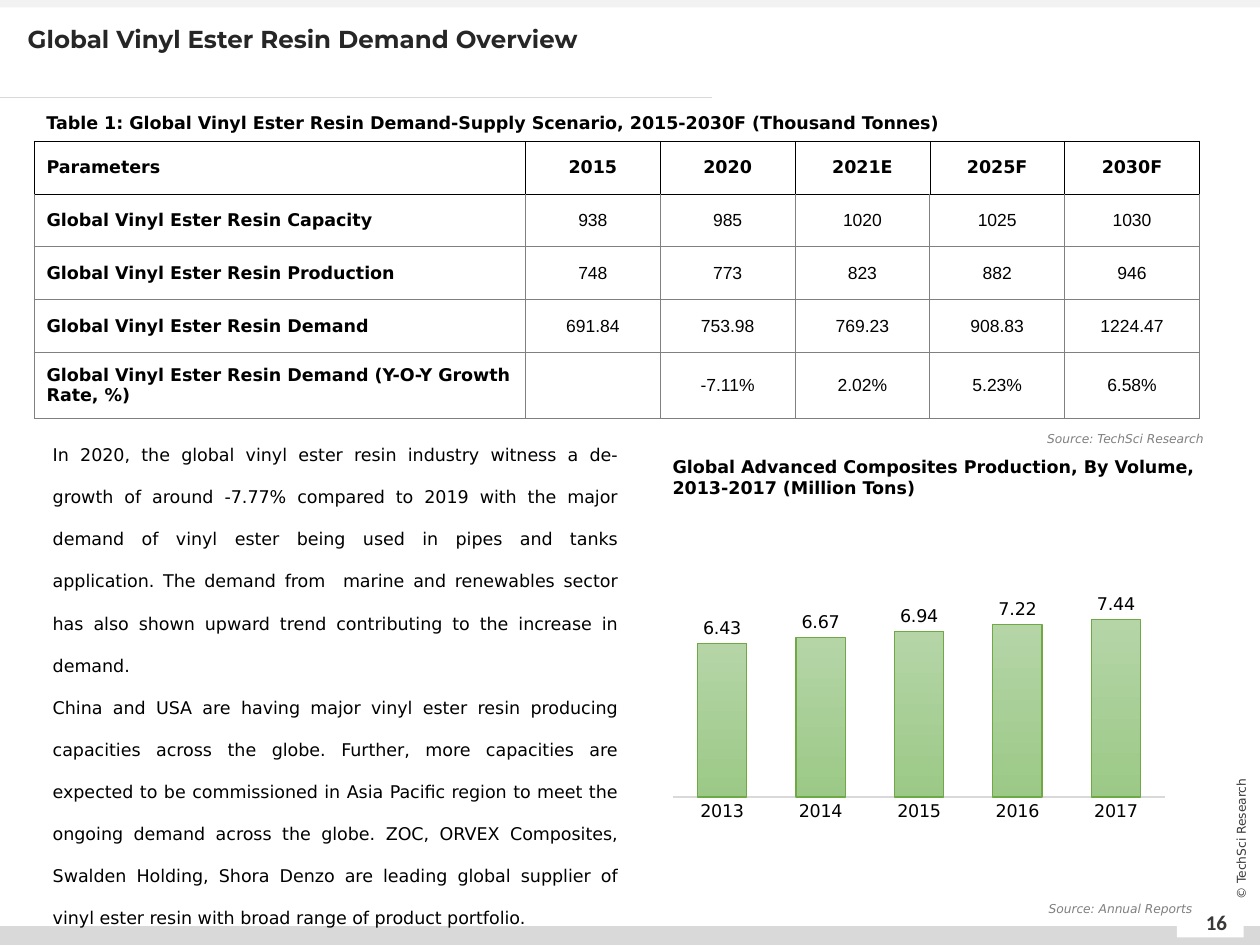
from lxml import etree
from pptx import Presentation
from pptx.chart.data import CategoryChartData
from pptx.dml.color import RGBColor
from pptx.enum.chart import XL_CHART_TYPE as ChartType, XL_LABEL_POSITION as LabelPos, XL_TICK_MARK as Tick
from pptx.enum.shapes import MSO_CONNECTOR as Connector, MSO_SHAPE as Shape
from pptx.enum.text import MSO_ANCHOR as Anchor, MSO_AUTO_SIZE as AutoSize, PP_ALIGN as Align
from pptx.oxml import parse_xml
from pptx.oxml.ns import nsdecls, qn
from pptx.util import Inches, Pt

COLORS = {
    "white": "FFFFFF", "black": "000000", "band": "F2F2F2", "rule": "D9D9D9",
    "title": "262626", "footer": "3B3838", "source": "808080", "grid": "808080",
    "bar_top": "B5D5A7", "bar_bottom": "9CC987", "bar_line": "6EA945",
}
FONT = "DejaVu Sans"

TITLE = "Global Vinyl Ester Resin Demand Overview"
TABLE_TITLE = "Table 1: Global Vinyl Ester Resin Demand-Supply Scenario, 2015-2030F (Thousand Tonnes)"
DEMAND_TABLE = [
    ("Parameters", "2015", "2020", "2021E", "2025F", "2030F"),
    ("Global Vinyl Ester Resin Capacity", "938", "985", "1020", "1025", "1030"),
    ("Global Vinyl Ester Resin Production", "748", "773", "823", "882", "946"),
    ("Global Vinyl Ester Resin Demand", "691.84", "753.98", "769.23", "908.83", "1224.47"),
    ("Global Vinyl Ester Resin Demand (Y-O-Y Growth Rate, %)", "", "-7.11%", "2.02%", "5.23%", "6.58%"),
]
COLUMN_WIDTHS = [3.9] + [1.07] * 5
ROW_HEIGHTS = [0.42] * 4 + [0.52]
COMMENTARY = [
    "In 2020, the global vinyl ester resin industry witness a de-growth of around -7.77% compared to 2019 "
    "with the major demand of vinyl ester being used in pipes and tanks application. The demand from  marine "
    "and renewables sector has also shown upward trend contributing to the increase in demand.",
    "China and USA are having major vinyl ester resin producing capacities across the globe. Further, more "
    "capacities are expected to be commissioned in Asia Pacific region to meet the ongoing demand across the "
    "globe. ZOC, ORVEX Composites, Swalden Holding, Shora Denzo are leading global supplier of vinyl ester "
    "resin with broad range of product portfolio.",
]
CHART_TITLE = "Global Advanced Composites Production, By Volume, 2013-2017 (Million Tons)"
PRODUCTION = {"2013": 6.43, "2014": 6.67, "2015": 6.94, "2016": 7.22, "2017": 7.44}
PLOT_AREA = {"x": 0.01, "y": 0.07, "w": 0.96, "h": 0.63}
BANDS = [
    ((0, 7.35, 10, 0.15), "rule"),
    ((0, 0, 10, 0.06), "band"),
    ((9.34, 7.22, 0.53, 0.22), "white"),
]


def rgb(color):
    return RGBColor.from_string(COLORS[color])


def style(font, size, color="black", name=FONT, bold=False, italic=False):
    font.size, font.name, font.bold, font.italic = Pt(size), name, bold, italic
    font.color.rgb = rgb(color)


def write(frame, paragraphs, size, align=Align.LEFT, spacing=1.0, **look):
    for index, text in enumerate(paragraphs):
        paragraph = frame.add_paragraph() if index else frame.paragraphs[0]
        paragraph.alignment, paragraph.line_spacing = align, spacing
        run = paragraph.add_run()
        run.text = text
        style(run.font, size, **look)


def add_text(slide, place, paragraphs, size, anchor=Anchor.TOP, fit=AutoSize.SHAPE_TO_FIT_TEXT, **look):
    box = slide.shapes.add_textbox(*map(Inches, place))
    frame = box.text_frame
    frame.word_wrap, frame.auto_size, frame.vertical_anchor = True, fit, anchor
    write(frame, paragraphs, size, **look)
    return box


def add_frame(slide):
    for place, color in BANDS:
        band = slide.shapes.add_shape(Shape.RECTANGLE, *map(Inches, place))
        band.shadow.inherit = False
        band.fill.solid()
        band.fill.fore_color.rgb = rgb(color)
        band.line.fill.background()
    rule = slide.shapes.add_connector(Connector.STRAIGHT, 0, Inches(0.77), Inches(5.65), Inches(0.77))
    rule.line.color.rgb, rule.line.width = rgb("rule"), Pt(0.5)
    etree.SubElement(rule._element.spPr, qn("a:effectLst"))
    footer = dict(anchor=Anchor.MIDDLE, fit=AutoSize.NONE, align=Align.CENTER, color="footer")
    add_text(slide, (9.41, 7.12, 0.49, 0.4), ["16"], 12, name="Calibri", bold=True, **footer)
    owner = add_text(slide, (9.25, 6.58, 1.2, 0.16), ["© TechSci Research"], 7, **footer)
    owner.text_frame.word_wrap = False
    owner.rotation = 270


def add_title(slide):
    title = slide.shapes.title
    title.left, title.top, title.width, title.height = map(Inches, (0.12, 0.17, 6.68, 0.5))
    frame = title.text_frame
    frame.auto_size, frame.vertical_anchor = AutoSize.NONE, Anchor.TOP
    write(frame, [TITLE], 14, spacing=0.9, color="title", name="Montserrat", bold=True)


def set_borders(cell, edges):
    for side, (color, width) in edges.items():
        cell._tc.get_or_add_tcPr().append(parse_xml(
            f'<a:ln{side} {nsdecls("a")} w="{Pt(width)}"><a:solidFill>'
            f'<a:srgbClr val="{COLORS[color]}"/></a:solidFill></a:ln{side}>'))


def add_demand_table(slide):
    place = (0.27, 1.12, sum(COLUMN_WIDTHS), sum(ROW_HEIGHTS))
    table = slide.shapes.add_table(
        len(ROW_HEIGHTS), len(COLUMN_WIDTHS), *map(Inches, place)).table
    table.first_row = table.horz_banding = False
    for column, width in zip(table.columns, COLUMN_WIDTHS):
        column.width = Inches(width)
    header_edge, body_edge = ("black", 0.25), ("grid", 0.5)
    for r, values in enumerate(DEMAND_TABLE):
        table.rows[r].height = Inches(ROW_HEIGHTS[r])
        edge = body_edge if r else header_edge
        edges = {"L": edge, "R": edge, "T": header_edge if r < 2 else body_edge, "B": edge}
        for c, value in enumerate(values):
            cell = table.cell(r, c)
            heading = r == 0 or c == 0
            cell.vertical_anchor = Anchor.MIDDLE
            cell.margin_top = cell.margin_right = cell.margin_bottom = 0
            cell.margin_left = 0 if c else Inches(0.1)
            set_borders(cell, edges)
            cell.fill.solid()
            cell.fill.fore_color.rgb = rgb("white")
            if value:
                write(cell.text_frame, [value], 10, align=Align.CENTER if c else Align.LEFT,
                      name=FONT if heading else "Arial", bold=heading)


def add_production_chart(slide):
    data = CategoryChartData(number_format="0.00")
    data.categories = list(PRODUCTION)
    data.add_series("Series 1", list(PRODUCTION.values()))
    chart = slide.shapes.add_chart(
        ChartType.COLUMN_CLUSTERED, *map(Inches, (5.3, 4.01, 4.07, 3.31)), data).chart
    chart.has_legend = chart.has_title = False
    style(chart.font, 10)

    years, volume = chart.category_axis, chart.value_axis
    years.major_tick_mark = years.minor_tick_mark = Tick.NONE
    years.format.line.color.rgb, years.format.line.width = rgb("rule"), Pt(0.75)
    style(years.tick_labels.font, 10)
    volume.minimum_scale, volume.maximum_scale = 0, 11
    volume.has_major_gridlines = volume.visible = False

    plot = chart.plots[0]
    plot.gap_width, plot.overlap, plot.vary_by_categories = 100, -24, False
    bars = plot.series[0]
    fill = bars.format.fill
    fill.gradient()
    fill.gradient_angle = 270
    for stop, position, color in zip(fill.gradient_stops, (0, 1), ("bar_top", "bar_bottom")):
        stop.position, stop.color.rgb = position, rgb(color)
    bars.format.line.color.rgb, bars.format.line.width = rgb("bar_line"), Pt(0.75)

    labels = bars.data_labels
    labels.show_value, labels.position = True, LabelPos.OUTSIDE_END
    labels.number_format, labels.number_format_is_linked = "0.00", False
    style(labels.font, 10)

    plot_area = chart._chartSpace.chart.plotArea
    for old in plot_area.findall(qn("c:layout")):
        plot_area.remove(old)
    sizes = "".join(f'<c:{key} val="{value}"/>' for key, value in PLOT_AREA.items())
    plot_area.insert(0, parse_xml(
        f'<c:layout {nsdecls("c")}><c:manualLayout><c:layoutTarget val="inner"/>'
        f'<c:xMode val="edge"/><c:yMode val="edge"/>{sizes}</c:manualLayout></c:layout>'))


def main():
    deck = Presentation()
    deck.slide_width, deck.slide_height = Inches(10), Inches(7.5)
    slide = deck.slides.add_slide(deck.slide_layouts[5])
    add_frame(slide)
    add_title(slide)
    add_demand_table(slide)
    source = dict(align=Align.RIGHT, color="source", italic=True)
    add_text(slide, (6.3, 3.37, 3.35, 0.22), ["Source: TechSci Research"], 7, **source)
    add_text(slide, (0.27, 0.76, 7.85, 0.32), [TABLE_TITLE], 10, spacing=1.5, bold=True)
    add_text(slide, (0.32, 3.31, 4.68, 4.08), COMMENTARY, 10, align=Align.JUSTIFY, spacing=2.0)
    add_production_chart(slide)
    add_text(slide, (5.24, 3.57, 4.44, 0.44), [CHART_TITLE], 10, bold=True)
    add_text(slide, (7.68, 7.1, 1.88, 0.22), ["Source: Annual Reports"], 7, **source)
    deck.save("out.pptx")


if __name__ == "__main__":
    main()
